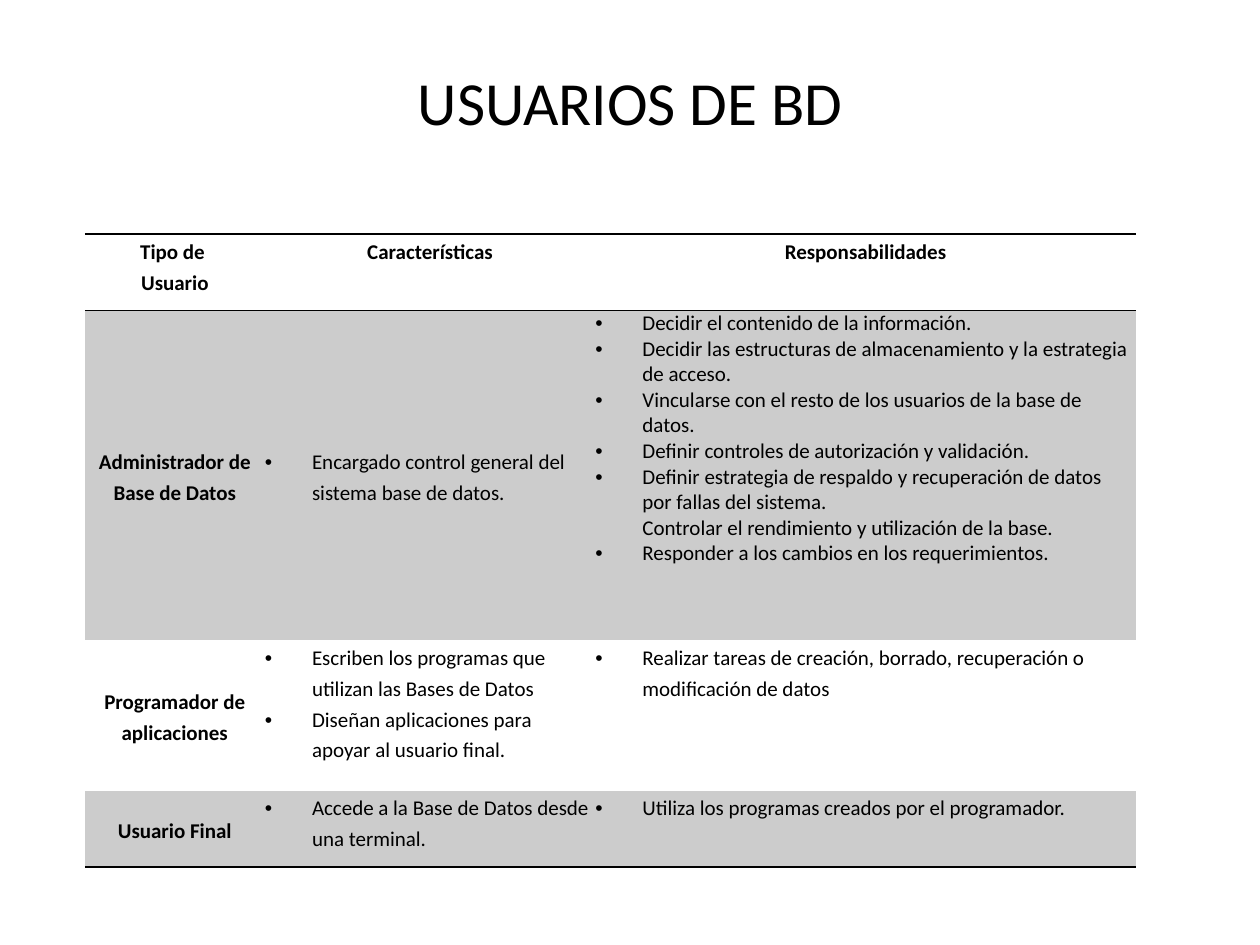
from dataclasses import dataclass

from lxml import etree
from pptx import Presentation
from pptx import util as u
from pptx.dml import color
from pptx.enum import text
from pptx.oxml import ns

FONT = "Calibri"
BLACK = "000000"
GREY = "CCCCCC"
NO_STYLE = "{2D5ABB26-0587-4C30-8999-92F81FD0307C}"
INDENT = u.Cm(0.95)
LINE_SPACING = u.Pt(17.6)
COLUMN_WIDTHS = (3.63, 6.66, 10.9)
HEADERS = (("Tipo de ", "Usuario"), ("Características",), ("Responsabilidades",))


@dataclass(frozen=True)
class UserRow:
    kind: tuple[str, ...]
    features: tuple[str, ...]
    duties: tuple[str, ...]
    height: float
    shaded: bool = False
    centred_features: bool = False
    compact_duties: bool = False


USER_ROWS = (
    UserRow(
        ("Administrador de", "Base de Datos"),
        ("Encargado control general del sistema base de datos.",),
        (
            "Decidir el contenido de la información.",
            "Decidir las estructuras de almacenamiento y la estrategia de acceso.",
            "Vincularse con el resto de los usuarios de la base de datos.",
            "Definir controles de autorización y validación.",
            "Definir estrategia de respaldo y recuperación de datos por fallas del sistema.\v"
            "Controlar el rendimiento y utilización de la base.",
            "Responder a los cambios en los requerimientos.",
        ),
        6.65, shaded=True, centred_features=True, compact_duties=True,
    ),
    UserRow(
        ("Programador de", "aplicaciones"),
        (
            "Escriben los programas que utilizan las Bases de Datos",
            "Diseñan aplicaciones para apoyar al usuario final.",
        ),
        ("Realizar tareas de creación, borrado, recuperación o modificación de datos",),
        3.03,
    ),
    UserRow(
        ("Usuario Final",),
        ("Accede a la Base de Datos desde una terminal.",),
        ("Utiliza los programas creados por el programador.",),
        1.54, shaded=True,
    ),
)


def rgb(value: str) -> color.RGBColor:
    return color.RGBColor.from_string(value)


def format_runs(paragraph, size: float, bold: bool = False) -> None:
    for run in paragraph.runs:
        run.font.name = FONT
        run.font.size = u.Pt(size)
        run.font.bold = bold
        run.font.color.rgb = rgb(BLACK)


def add_bullet(paragraph) -> None:
    properties = paragraph._p.get_or_add_pPr()
    properties.set("marL", str(INDENT))
    properties.set("indent", str(-INDENT))
    etree.SubElement(properties, ns.qn("a:buFont"), typeface="Arial")
    etree.SubElement(properties, ns.qn("a:buChar"), char="•")


def add_border(cell, side: str) -> None:
    properties = cell._tc.get_or_add_tcPr()
    line = etree.SubElement(properties, ns.qn(f"a:ln{side}"), w=str(u.Pt(1)))
    fill = etree.SubElement(line, ns.qn("a:solidFill"))
    etree.SubElement(fill, ns.qn("a:srgbClr"), val=BLACK)


def fill_cell(cell, lines: tuple[str, ...], *, bulleted: bool = False, middle: bool = False,
              compact: bool = False, shaded: bool = False, borders: str = "") -> None:
    cell.margin_left = cell.margin_right = cell.margin_top = cell.margin_bottom = 0
    cell.vertical_anchor = text.MSO_ANCHOR.MIDDLE if middle else text.MSO_ANCHOR.TOP
    cell.text_frame.text = "\n".join(lines)
    for paragraph in cell.text_frame.paragraphs:
        if not compact:
            paragraph.line_spacing = LINE_SPACING
        if bulleted:
            add_bullet(paragraph)
        else:
            paragraph.alignment = text.PP_ALIGN.CENTER
        format_runs(paragraph, 12, bold=not bulleted)
    for side in borders:
        add_border(cell, side)
    if shaded:
        cell.fill.solid()
        cell.fill.fore_color.rgb = rgb(GREY)
    else:
        cell.fill.background()


def add_title(slide) -> None:
    title = slide.shapes.title
    title.left, title.top = u.Cm(2.11), u.Cm(0.48)
    title.width, title.height = u.Cm(21.2), u.Cm(3.1)
    title.text_frame.text = "USUARIOS DE BD"
    title.text_frame.vertical_anchor = text.MSO_ANCHOR.MIDDLE
    paragraph = title.text_frame.paragraphs[0]
    paragraph.alignment = text.PP_ALIGN.CENTER
    format_runs(paragraph, 35)


def add_user_table(slide) -> None:
    heights = [1.54, *(row.height for row in USER_ROWS)]
    table = slide.shapes.add_table(
        len(heights), len(COLUMN_WIDTHS), u.Cm(1.71), u.Cm(4.72),
        u.Cm(sum(COLUMN_WIDTHS)), u.Cm(sum(heights)),
    ).table
    table.first_row = table.horz_banding = False
    table._tbl.tblPr.find(ns.qn("a:tableStyleId")).text = NO_STYLE
    for column, width in zip(table.columns, COLUMN_WIDTHS):
        column.width = u.Cm(width)
    for row, height in zip(table.rows, heights):
        row.height = u.Cm(height)

    for index, lines in enumerate(HEADERS):
        fill_cell(table.cell(0, index), lines, borders="TB")
    for index, user in enumerate(USER_ROWS, start=1):
        kind, features, duties = (table.cell(index, column) for column in range(3))
        borders = "B" if index == len(USER_ROWS) else ""
        fill_cell(kind, user.kind, middle=True, shaded=user.shaded, borders=borders)
        fill_cell(features, user.features, bulleted=True, middle=user.centred_features,
                  shaded=user.shaded, borders=borders)
        fill_cell(duties, user.duties, bulleted=True, compact=user.compact_duties,
                  shaded=user.shaded, borders=borders)


def main() -> None:
    presentation = Presentation()
    presentation.slide_width = u.Cm(25.4)
    presentation.slide_height = u.Cm(19.05)
    slide = presentation.slides.add_slide(presentation.slide_layouts[5])
    add_title(slide)
    add_user_table(slide)
    presentation.save("out.pptx")


if __name__ == "__main__":
    main()
